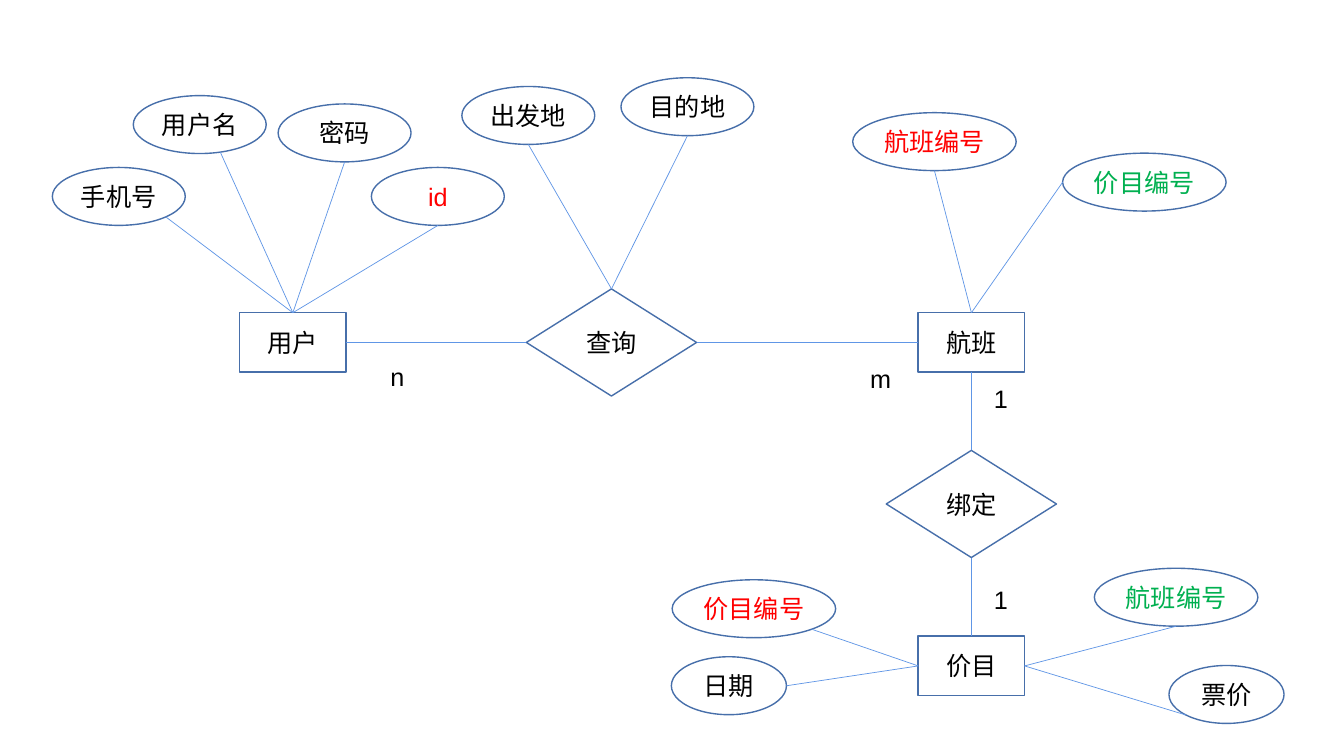
from dataclasses import dataclass
from math import cos, radians, sin

from lxml import etree
from pptx import Presentation
from pptx.dml.color import RGBColor
from pptx.enum.shapes import MSO_CONNECTOR, MSO_SHAPE
from pptx.enum.text import MSO_ANCHOR, PP_ALIGN
from pptx.oxml.ns import qn
from pptx.util import Cm, Pt

RECTANGLE, DIAMOND, OVAL = MSO_SHAPE.RECTANGLE, MSO_SHAPE.FLOWCHART_DECISION, MSO_SHAPE.OVAL
STRAIGHT = MSO_CONNECTOR.STRAIGHT
MIDDLE, CENTER = MSO_ANCHOR.MIDDLE, PP_ALIGN.CENTER
TOP, LEFT, BOTTOM, RIGHT = range(4)

COLORS = {
    "text": "000000",
    "primary key": "FF0000",
    "foreign key": "00B050",
    "outline": "476FAA",
    "link": "6096E6",
}
FONT = "Arial"
ENTITY_SIZE = (2.68, 1.5)
RELATION_SIZE = (4.29, 2.7)
ATTRIBUTE_HEIGHT = 1.46
SHORT, MEDIUM, LONG = 2.9, 3.35, 4.12
LABEL_HEIGHT = 1.03

# Centres of the columns and rows of the diagram, in cm
USER_X, QUERY_X, FLIGHT_X = 7.38, 15.41, 24.48
UPPER_Y, BINDING_Y, LOWER_Y = 8.63, 12.7, 16.78


@dataclass(frozen=True)
class Node:
    name: str
    text: str
    kind: int
    size: tuple[float, float]
    center_x: float
    center_y: float


@dataclass(frozen=True)
class Attribute:
    text: str
    left: float
    top: float
    width: float
    owner: str
    site: int
    angle: float = 90  # where the link leaves the oval, clockwise from the right
    color: str = "text"


@dataclass(frozen=True)
class Relation:
    begin: str
    begin_site: int
    end: str
    end_site: int


@dataclass(frozen=True)
class Label:
    text: str
    left: float
    top: float
    width: float = 0.87


NODES = [
    Node("user", "用户", RECTANGLE, ENTITY_SIZE, USER_X, UPPER_Y),
    Node("flight", "航班", RECTANGLE, ENTITY_SIZE, FLIGHT_X, UPPER_Y),
    Node("price", "价目", RECTANGLE, ENTITY_SIZE, FLIGHT_X, LOWER_Y),
    Node("query", "查询", DIAMOND, RELATION_SIZE, QUERY_X, UPPER_Y),
    Node("binding", "绑定", DIAMOND, RELATION_SIZE, FLIGHT_X, BINDING_Y),
]
ATTRIBUTES = [
    Attribute("用户名", 3.36, 2.41, MEDIUM, "user", TOP, angle=72),
    Attribute("密码", 7.01, 2.62, MEDIUM, "user", TOP),
    Attribute("手机号", 1.32, 4.22, MEDIUM, "user", TOP, angle=45),
    Attribute("id", 9.36, 4.22, MEDIUM, "user", TOP, color="primary key"),
    Attribute("出发地", 11.64, 2.18, MEDIUM, "query", TOP),
    Attribute("目的地", 15.65, 1.96, MEDIUM, "query", TOP),
    Attribute("航班编号", 21.49, 2.84, LONG, "flight", TOP, color="primary key"),
    Attribute("价目编号", 26.78, 3.86, LONG, "flight", TOP, 180, "foreign key"),
    Attribute("价目编号", 16.94, 14.61, LONG, "price", LEFT, 45, "primary key"),
    Attribute("日期", 16.92, 16.55, SHORT, "price", LEFT, angle=0),
    Attribute("航班编号", 27.58, 14.32, LONG, "price", RIGHT, color="foreign key"),
    Attribute("票价", 29.46, 16.77, SHORT, "price", RIGHT, angle=135),
]
RELATIONS = [
    Relation("user", RIGHT, "query", LEFT),
    Relation("query", RIGHT, "flight", LEFT),
    Relation("binding", TOP, "flight", BOTTOM),
    Relation("binding", BOTTOM, "price", TOP),
]
LABELS = [
    Label("n", 9.58, 8.97),
    Label("m", 21.67, 9.02, 1.04),
    Label("1", 24.79, 9.53),
    Label("1", 24.79, 14.6),
]


def write_text(shape, text: str, color: str) -> None:
    text_frame = shape.text_frame
    text_frame.text = text
    text_frame.word_wrap = False
    text_frame.vertical_anchor = MIDDLE
    text_frame.margin_left = text_frame.margin_right = 0
    text_frame.margin_top = text_frame.margin_bottom = 0
    paragraph = text_frame.paragraphs[0]
    paragraph.alignment = CENTER
    font = paragraph.runs[0].font
    font.name = FONT
    font.size = Pt(18)
    font.color.rgb = RGBColor.from_string(COLORS[color])


def draw_outline(slide, kind: int, left: float, top: float, width: float, height: float,
                 text: str, color: str = "text"):
    shape = slide.shapes.add_shape(kind, Cm(left), Cm(top), Cm(width), Cm(height))
    shape.shadow.inherit = False
    shape.fill.background()
    shape.line.color.rgb = RGBColor.from_string(COLORS["outline"])
    shape.line.width = Pt(1)
    write_text(shape, text, color)
    return shape


def draw_node(slide, node: Node):
    width, height = node.size
    return draw_outline(slide, node.kind, node.center_x - width / 2,
                        node.center_y - height / 2, width, height, node.text)


def add_link(slide, begin_x: float, begin_y: float):
    connector = slide.shapes.add_connector(STRAIGHT, Cm(begin_x), Cm(begin_y),
                                           Cm(begin_x), Cm(begin_y))
    connector.line.color.rgb = RGBColor.from_string(COLORS["link"])
    connector.line.width = Pt(0.5)
    etree.SubElement(connector._element.spPr, qn("a:effectLst"))
    return connector


def draw_attribute(slide, attribute: Attribute, owner) -> None:
    draw_outline(slide, OVAL, attribute.left, attribute.top, attribute.width,
                 ATTRIBUTE_HEIGHT, attribute.text, attribute.color)
    angle = radians(attribute.angle)
    begin_x = attribute.left + attribute.width / 2 * (1 + cos(angle))
    begin_y = attribute.top + ATTRIBUTE_HEIGHT / 2 * (1 + sin(angle))
    add_link(slide, begin_x, begin_y).end_connect(owner, attribute.site)


def draw_relation(slide, relation: Relation, shapes: dict) -> None:
    connector = add_link(slide, 0, 0)
    connector.begin_connect(shapes[relation.begin], relation.begin_site)
    connector.end_connect(shapes[relation.end], relation.end_site)


def draw_label(slide, label: Label) -> None:
    box = slide.shapes.add_textbox(Cm(label.left), Cm(label.top),
                                   Cm(label.width), Cm(LABEL_HEIGHT))
    write_text(box, label.text, "text")


def main() -> None:
    presentation = Presentation()
    presentation.slide_width, presentation.slide_height = Cm(33.87), Cm(19.05)
    slide = presentation.slides.add_slide(presentation.slide_layouts[6])

    # Entities and relationships
    shapes = {node.name: draw_node(slide, node) for node in NODES}
    for relation in RELATIONS:
        draw_relation(slide, relation, shapes)

    # Attributes with their links
    for attribute in ATTRIBUTES:
        draw_attribute(slide, attribute, shapes[attribute.owner])

    # Cardinalities
    for label in LABELS:
        draw_label(slide, label)

    presentation.save("out.pptx")


if __name__ == "__main__":
    main()
